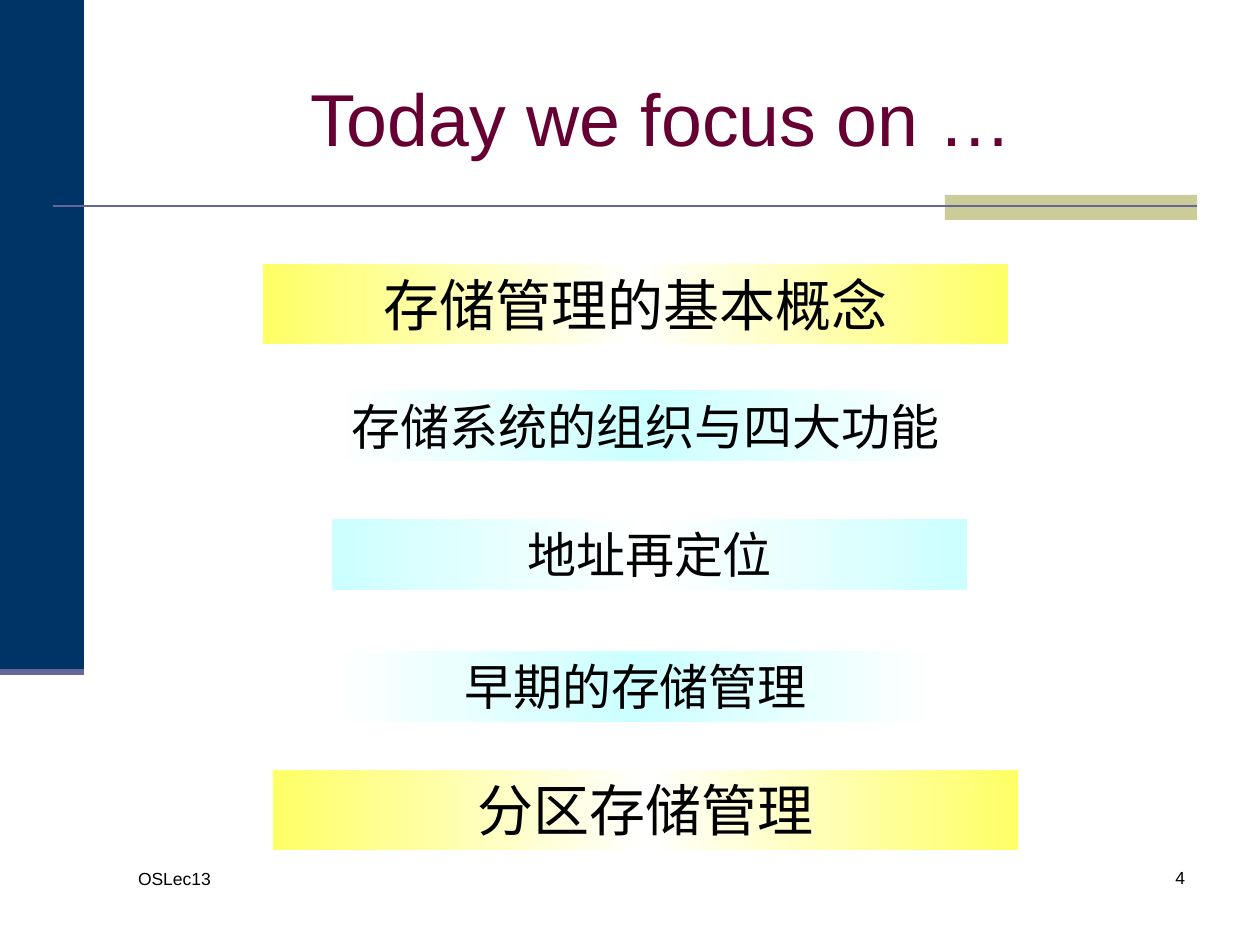
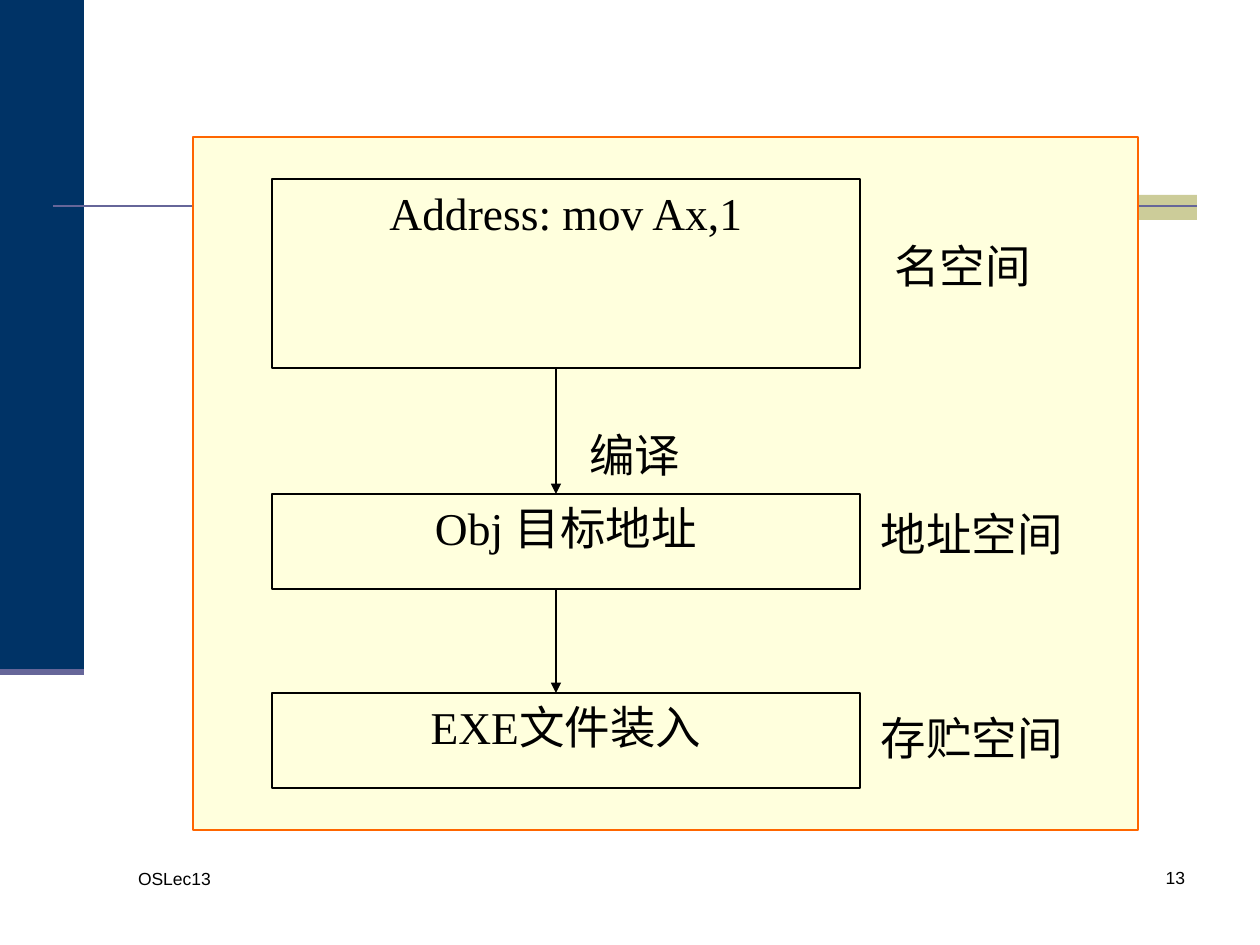
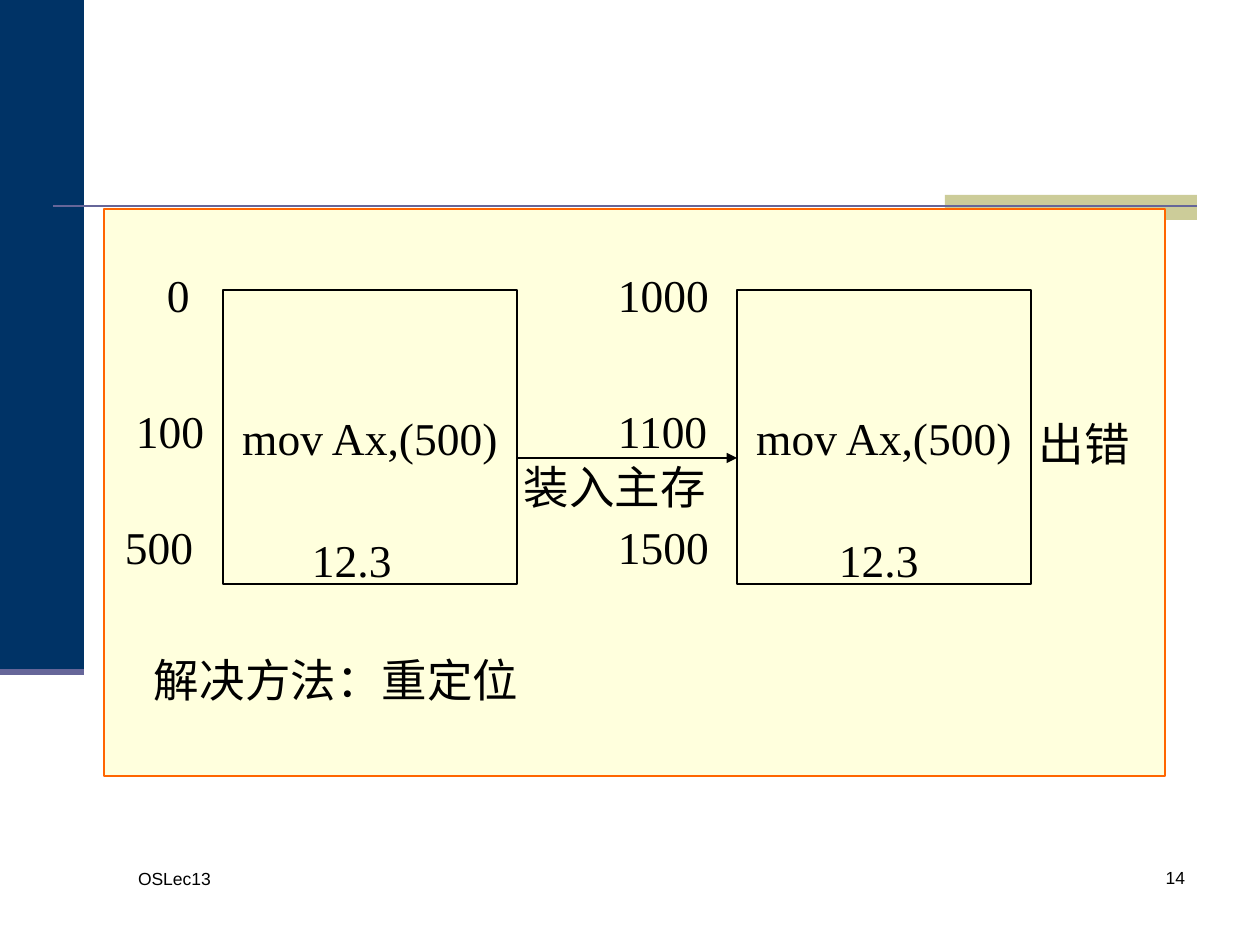
from copy import deepcopy

from lxml import etree
from pptx import Presentation
from pptx.dml.color import RGBColor
from pptx.enum.shapes import MSO_CONNECTOR, MSO_SHAPE
from pptx.enum.text import MSO_ANCHOR, MSO_AUTO_SIZE, PP_ALIGN
from pptx.oxml.ns import qn
from pptx.util import Emu, Pt

PX_PER_INCH = 126
EMU_PER_INCH = 914400

NAVY = RGBColor(0x00, 0x33, 0x66)
SAND = RGBColor(0xCC, 0xCC, 0x99)
SLATE = RGBColor(0x66, 0x66, 0x99)
MAROON = RGBColor(0x66, 0x00, 0x33)
BLACK = RGBColor(0x00, 0x00, 0x00)
WHITE = RGBColor(0xFF, 0xFF, 0xFF)
YELLOW = RGBColor(0xFF, 0xFF, 0x66)
CYAN = RGBColor(0xCC, 0xFF, 0xFF)
CREAM = RGBColor(0xFF, 0xFF, 0xDD)
ORANGE = RGBColor(0xFF, 0x66, 0x00)

SANS = "Arial"
SERIF = "Times New Roman"

LEFT, CENTER, RIGHT = PP_ALIGN.LEFT, PP_ALIGN.CENTER, PP_ALIGN.RIGHT
TOP, MIDDLE = MSO_ANCHOR.TOP, MSO_ANCHOR.MIDDLE
FIT_SHAPE = MSO_AUTO_SIZE.SHAPE_TO_FIT_TEXT
RECTANGLE = MSO_SHAPE.RECTANGLE
STRAIGHT = MSO_CONNECTOR.STRAIGHT

WIDE_INSET = (12, 6)
NARROW_INSET = (7, 4)


def px(length):
    return Emu(round(length * EMU_PER_INCH / PX_PER_INCH))


def set_text(shape, text, size=26, font=SERIF, color=BLACK, align=LEFT,
             anchor=TOP, inset=WIDE_INSET, wrap=False, space_before=0):
    frame = shape.text_frame
    frame.word_wrap = wrap
    frame.vertical_anchor = anchor
    frame.margin_left = frame.margin_right = px(inset[0])
    frame.margin_top = frame.margin_bottom = px(inset[1])
    paragraph = frame.paragraphs[0]
    paragraph.alignment = align
    paragraph.space_before = Pt(space_before)
    run = paragraph.add_run()
    run.text = text
    run.font.size = Pt(size)
    run.font.name = font
    run.font.color.rgb = color


def add_text(slide, box, text, **text_format):
    set_text(slide.shapes.add_textbox(*map(px, box)), text, **text_format)


def add_rectangle(slide, box, fill=None, line=None):
    shape = slide.shapes.add_shape(RECTANGLE, *map(px, box))
    shape.shadow.inherit = False
    if fill is None:
        shape.fill.background()
    else:
        shape.fill.solid()
        shape.fill.fore_color.rgb = fill
    if line is None:
        shape.line.fill.background()
    else:
        shape.line.color.rgb = line
        shape.line.width = Pt(0.75)
    return shape


def add_line(slide, start, end, color=BLACK, width=0.75, arrow=False):
    connector = slide.shapes.add_connector(STRAIGHT, *map(px, start + end))
    connector.line.color.rgb = color
    connector.line.width = Pt(width)
    properties = connector._element.spPr
    if arrow:
        outline = properties.find(qn("a:ln"))
        etree.SubElement(outline, qn("a:tailEnd"), type="triangle")
    etree.SubElement(properties, qn("a:effectLst"))


def add_topic_band(slide, box, text, edge, middle, size):
    """Bar whose colour runs from the edge colour to the middle and back."""
    band = add_rectangle(slide, box)
    band.fill.gradient()
    band.fill.gradient_angle = 0
    stop_list = band._element.spPr.find(qn("a:gradFill")).find(qn("a:gsLst"))
    stop_list.insert(1, deepcopy(stop_list[0]))
    stops = zip(band.fill.gradient_stops, (0, 0.5, 1), (edge, middle, edge))
    for stop, position, color in stops:
        stop.position = position
        stop.color.rgb = color
    set_text(band, text, size=size, font=SANS, align=CENTER, wrap=True,
             space_before=size * 0.625)
    band.text_frame.auto_size = FIT_SHAPE


def add_base_slide(presentation, number):
    """Blank slide with the side bar, the rule, the footer and the number."""
    slide = presentation.slides.add_slide(presentation.slide_layouts[6])
    add_rectangle(slide, (0, 0, 84, 672), fill=NAVY)
    add_rectangle(slide, (945, 195, 252, 25), fill=SAND)
    add_line(slide, (53, 206), (1197, 206), color=SLATE, width=1.5)
    add_line(slide, (0, 672), (84, 672), color=SLATE, width=3.5)
    footer_format = {"size": 10, "font": SANS, "wrap": True}
    add_text(slide, (126, 862, 273, 63), "OSLec13", **footer_format)
    add_text(slide, (935, 861, 262, 63), str(number), align=RIGHT,
             **footer_format)
    return slide


def build_focus_slide(presentation):
    slide = add_base_slide(presentation, 4)
    add_text(slide, (126, 38, 1071, 158), "Today we focus on …", size=42,
             font=SANS, color=MAROON, align=CENTER, anchor=MIDDLE, wrap=True)
    for left, top, width, text, edge, middle in (
            (333, 390, 625, "存储系统的组织与四大功能", WHITE, CYAN),
            (263, 264, 745, "存储管理的基本概念", YELLOW, WHITE),
            (333, 651, 605, "早期的存储管理", WHITE, CYAN),
            (332, 519, 635, "地址再定位", CYAN, WHITE),
            (273, 770, 745, "分区存储管理", YELLOW, WHITE)):
        height, size = (80, 32) if edge == YELLOW else (71, 28)
        add_topic_band(slide, (left, top, width, height), text, edge, middle,
                       size)


def build_spaces_slide(presentation):
    slide = add_base_slide(presentation, 13)
    add_rectangle(slide, (193, 137, 945, 693), fill=CREAM, line=ORANGE)
    for top, height, text in ((179, 189, "Address: mov Ax,1"),
                              (494, 95, "Obj 目标地址"),
                              (693, 95, "EXE文件装入")):
        stage = add_rectangle(slide, (272, top, 588, height), line=BLACK)
        set_text(stage, text, align=CENTER)
    for start, end in ((368, 494), (589, 693)):
        add_line(slide, (556, start), (556, end), arrow=True)
    for left, top, width, text in ((882, 232, 168, "名空间"),
                                   (577, 421, 122, "编译"),
                                   (869, 500, 214, "地址空间"),
                                   (869, 704, 214, "存贮空间")):
        add_text(slide, (left, top, width, 67), text)


def build_loading_slide(presentation):
    slide = add_base_slide(presentation, 14)
    add_rectangle(slide, (104, 209, 1061, 567), fill=CREAM, line=ORANGE)
    label_format = {"anchor": MIDDLE, "inset": NARROW_INSET}
    for left in (223, 737):
        memory = add_rectangle(slide, (left, 290, 294, 294), line=BLACK)
        set_text(memory, "mov Ax,(500)", align=CENTER, **label_format)
    add_line(slide, (517, 458), (737, 458), arrow=True)
    for left, top, width, text in ((305, 523, 102, "12.3"),
                                   (832, 523, 102, "12.3"),
                                   (160, 258, 45, "0"),
                                   (129, 394, 91, "100"),
                                   (118, 510, 91, "500"),
                                   (611, 258, 113, "1000"),
                                   (611, 394, 113, "1100"),
                                   (611, 510, 113, "1500"),
                                   (517, 450, 204, "装入主存"),
                                   (1032, 407, 113, "出错"),
                                   (147, 643, 386, "解决方法：重定位")):
        add_text(slide, (left, top, width, 72), text, **label_format)


def main():
    presentation = Presentation()
    presentation.slide_width = px(1260)
    presentation.slide_height = px(945)
    build_focus_slide(presentation)
    build_spaces_slide(presentation)
    build_loading_slide(presentation)
    presentation.save("out.pptx")


if __name__ == "__main__":
    main()
